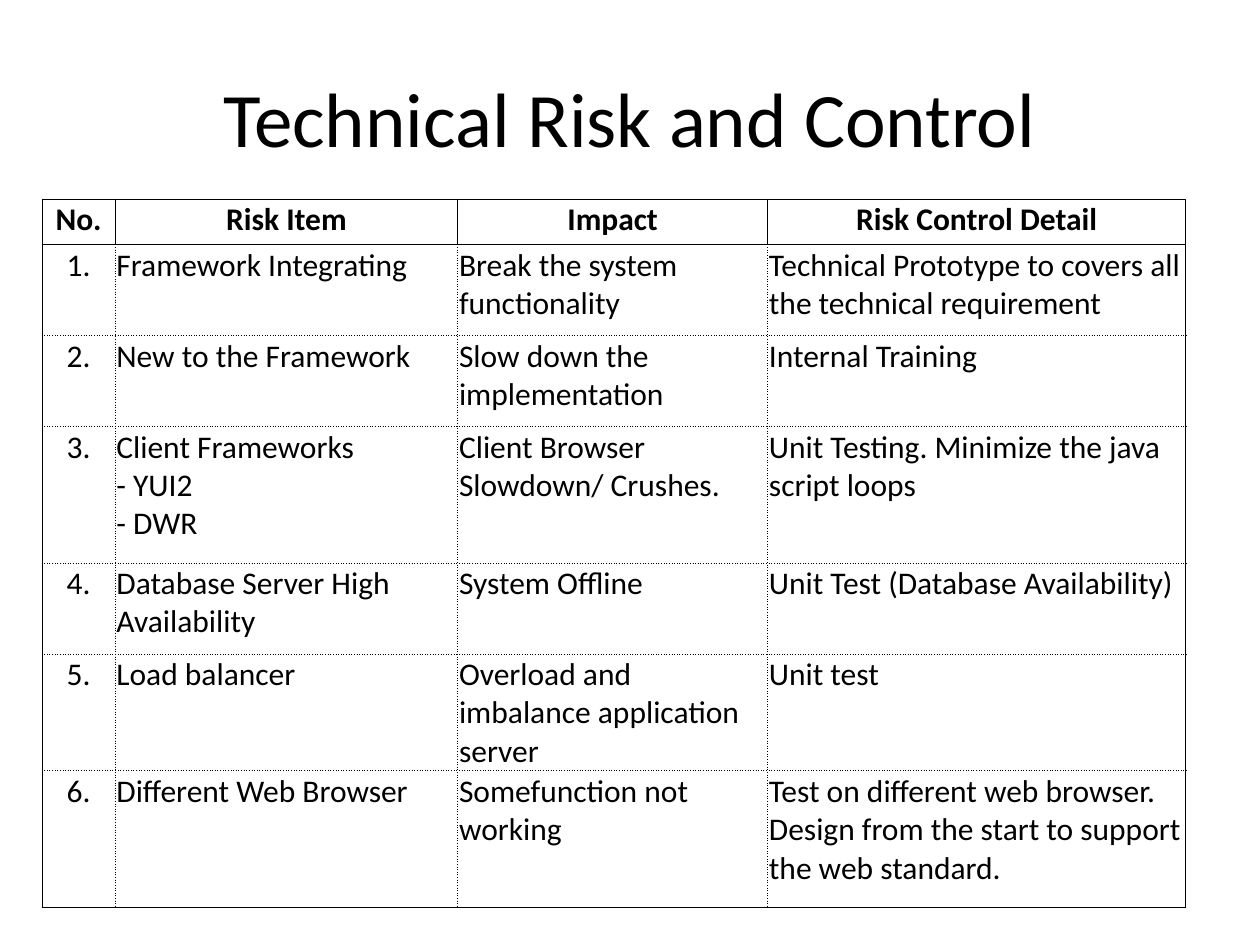
"""Build the technical risk and control slide with its risk table."""
from lxml.etree import SubElement
from pptx import Presentation
from pptx.dml.color import RGBColor
from pptx.enum.text import MSO_ANCHOR, PP_ALIGN
from pptx.oxml.ns import qn
from pptx.util import Pt

TITLE = "Technical Risk and Control"
HEADINGS = ("No.", "Risk Item", "Impact", "Risk Control Detail")
RISKS = [
    ("Framework Integrating", "Break the system functionality",
     "Technical Prototype to covers all the technical requirement"),
    ("New to the Framework", "Slow down the implementation", "Internal Training"),
    ("Client Frameworks\v- YUI2\v- DWR", "Client Browser Slowdown/ Crushes.",
     "Unit Testing. Minimize the java script loops"),
    ("Database Server High Availability", "System Offline",
     "Unit Test (Database Availability)"),
    ("Load balancer", "Overload and imbalance application server", "Unit test"),
    ("Different Web Browser", "Somefunction not working",
     "Test on different web browser. Design from the start to support the web standard."),
]
THEME = {"font": "Calibri", "ink": "000000", "title": 44, "body": 18, "border": 0.5}
COLUMN_WIDTHS = (41.8, 195.8, 177.1, 239)
LINE_HEIGHT = 26
ROW_LINES = (1, 2, 2, 3, 2, 2, 3)
TABLE_LEFT, TABLE_TOP = 24, 113.9


def format_paragraph(para, size, align, bold=False):
    para.alignment = align
    para.font.name = THEME["font"]
    para.font.size = Pt(size)
    para.font.bold = bold
    para.font.color.rgb = RGBColor.from_string(THEME["ink"])


def set_border(cell, position, side, dash):
    properties = cell._tc.get_or_add_tcPr()
    line = SubElement(properties, qn(f"a:ln{side}"), w=str(Pt(THEME["border"])))
    properties.insert(position, line)
    fill = SubElement(line, qn("a:solidFill"))
    SubElement(fill, qn("a:srgbClr"), val=THEME["ink"])
    SubElement(line, qn("a:prstDash"), val=dash)


def fill_cell(cell, text, row, column, last_row, last_column):
    header = row == 0
    cell.text = text
    cell.margin_left = cell.margin_right = cell.margin_top = Pt(0.75)
    cell.margin_bottom = Pt(0)
    cell.vertical_anchor = MSO_ANCHOR.TOP
    cell.fill.background()
    align = PP_ALIGN.CENTER if header or column == 0 else PP_ALIGN.LEFT
    format_paragraph(cell.text_frame.paragraphs[0], THEME["body"], align, header)
    solid_sides = {
        "L": header or column == 0,
        "R": header or column == last_column,
        "T": row <= 1,
        "B": header or row == last_row,
    }
    for position, (side, solid) in enumerate(solid_sides.items()):
        set_border(cell, position, side, "solid" if solid else "dot")


def add_title(page):
    box = page.shapes.title
    box.left, box.top, box.width, box.height = Pt(36), Pt(21.6), Pt(648), Pt(90)
    box.text_frame.text = TITLE
    box.text_frame.vertical_anchor = MSO_ANCHOR.MIDDLE
    format_paragraph(box.text_frame.paragraphs[0], THEME["title"], PP_ALIGN.CENTER)


def add_risk_table(page):
    rows = [HEADINGS] + [(f"{number}.", *risk) for number, risk in enumerate(RISKS, 1)]
    heights = [lines * LINE_HEIGHT for lines in ROW_LINES]
    table = page.shapes.add_table(
        len(rows), len(HEADINGS), Pt(TABLE_LEFT), Pt(TABLE_TOP),
        Pt(sum(COLUMN_WIDTHS)), Pt(sum(heights))).table
    table.first_row = table.horz_banding = False
    for column, width in zip(table.columns, COLUMN_WIDTHS):
        column.width = Pt(width)
    for row, height in zip(table.rows, heights):
        row.height = Pt(height)
    for row, texts in enumerate(rows):
        for column, text in enumerate(texts):
            fill_cell(table.cell(row, column), text, row, column,
                      len(rows) - 1, len(HEADINGS) - 1)


def main():
    deck = Presentation()
    deck.slide_width, deck.slide_height = Pt(720), Pt(540)
    page = deck.slides.add_slide(deck.slide_layouts[5])
    add_title(page)
    add_risk_table(page)
    deck.save("out.pptx")


if __name__ == "__main__":
    main()
